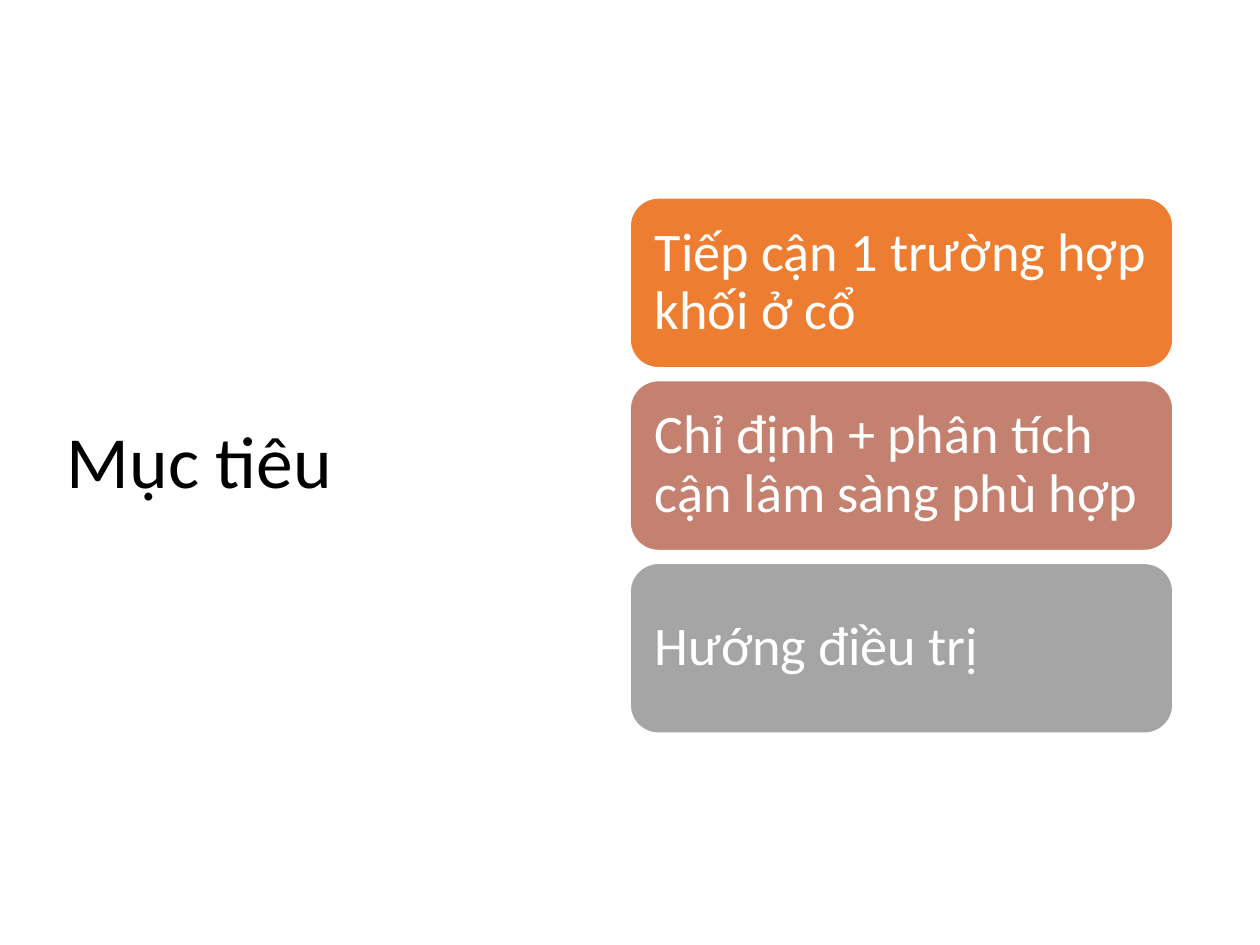
from pptx import Presentation
from pptx.dml.color import RGBColor
from pptx.enum.shapes import MSO_SHAPE
from pptx.enum.text import MSO_ANCHOR, PP_ALIGN
from pptx.util import Inches, Pt

BLACK = RGBColor(0x00, 0x00, 0x00)
WHITE = RGBColor(0xFF, 0xFF, 0xFF)
ORANGE = RGBColor(0xED, 0x7D, 0x31)
ROSE = RGBColor(0xC4, 0x81, 0x70)
GRAY = RGBColor(0xA5, 0xA5, 0xA5)

FONT = "Calibri"
TITLE_ONLY_LAYOUT = 5
CARD_LEFT, CARD_TOP = 5, 1.57
CARD_WIDTH, CARD_HEIGHT = 4.31, 1.35
CARD_PITCH = 1.45

OBJECTIVES = [
    ("Tiếp cận 1 trường hợp khối ở cổ", ORANGE),
    ("Chỉ định + phân tích cận lâm sàng phù hợp", ROSE),
    ("Hướng điều trị", GRAY),
]


def set_text(shape, text, *, size, color, side_inset=0.1, vertical_inset=0.05):
    frame = shape.text_frame
    frame.word_wrap = True
    frame.vertical_anchor = MSO_ANCHOR.MIDDLE
    frame.margin_left = frame.margin_right = Inches(side_inset)
    frame.margin_top = frame.margin_bottom = Inches(vertical_inset)
    frame.text = text
    paragraph = frame.paragraphs[0]
    paragraph.alignment = PP_ALIGN.LEFT
    paragraph.line_spacing = 0.9
    font = paragraph.runs[0].font
    font.name = FONT
    font.size = Pt(size)
    font.color.rgb = color


def add_title(slide, text):
    title = slide.shapes.title
    title.left, title.top = Inches(0.43), Inches(0.68)
    title.width, title.height = Inches(4.25), Inches(6.02)
    set_text(title, text, size=42, color=BLACK)


def add_objective_card(slide, text, top, fill_color):
    card = slide.shapes.add_shape(
        MSO_SHAPE.ROUNDED_RECTANGLE,
        Inches(CARD_LEFT), Inches(top), Inches(CARD_WIDTH), Inches(CARD_HEIGHT),
    )
    card.shadow.inherit = False
    card.fill.solid()
    card.fill.fore_color.rgb = fill_color
    card.line.color.rgb = WHITE
    card.line.width = Pt(1)
    set_text(card, text, size=31, color=WHITE, side_inset=0.13, vertical_inset=0.13)


def main():
    presentation = Presentation()
    presentation.slide_width, presentation.slide_height = Inches(10), Inches(7.5)
    slide = presentation.slides.add_slide(presentation.slide_layouts[TITLE_ONLY_LAYOUT])
    add_title(slide, "Mục tiêu")
    for index, (text, fill_color) in enumerate(OBJECTIVES):
        add_objective_card(slide, text, CARD_TOP + index * CARD_PITCH, fill_color)
    presentation.save("out.pptx")


if __name__ == "__main__":
    main()
